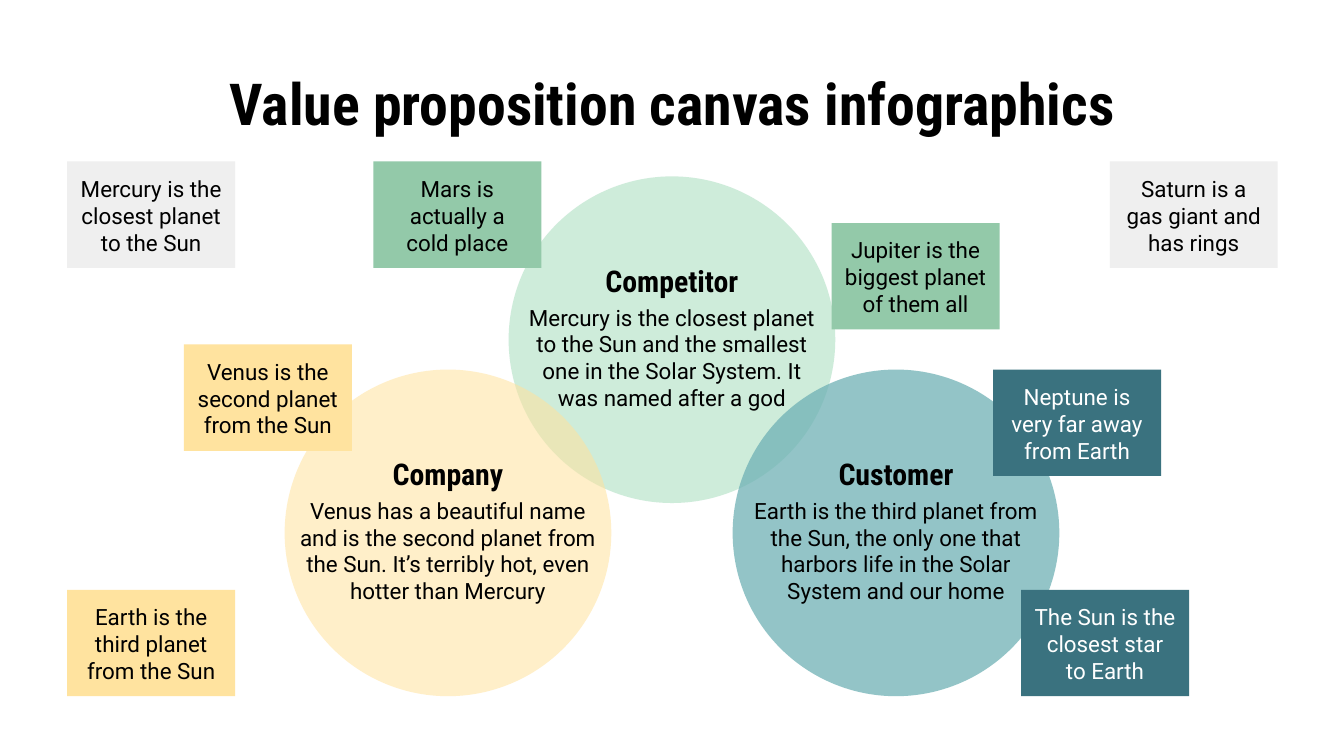
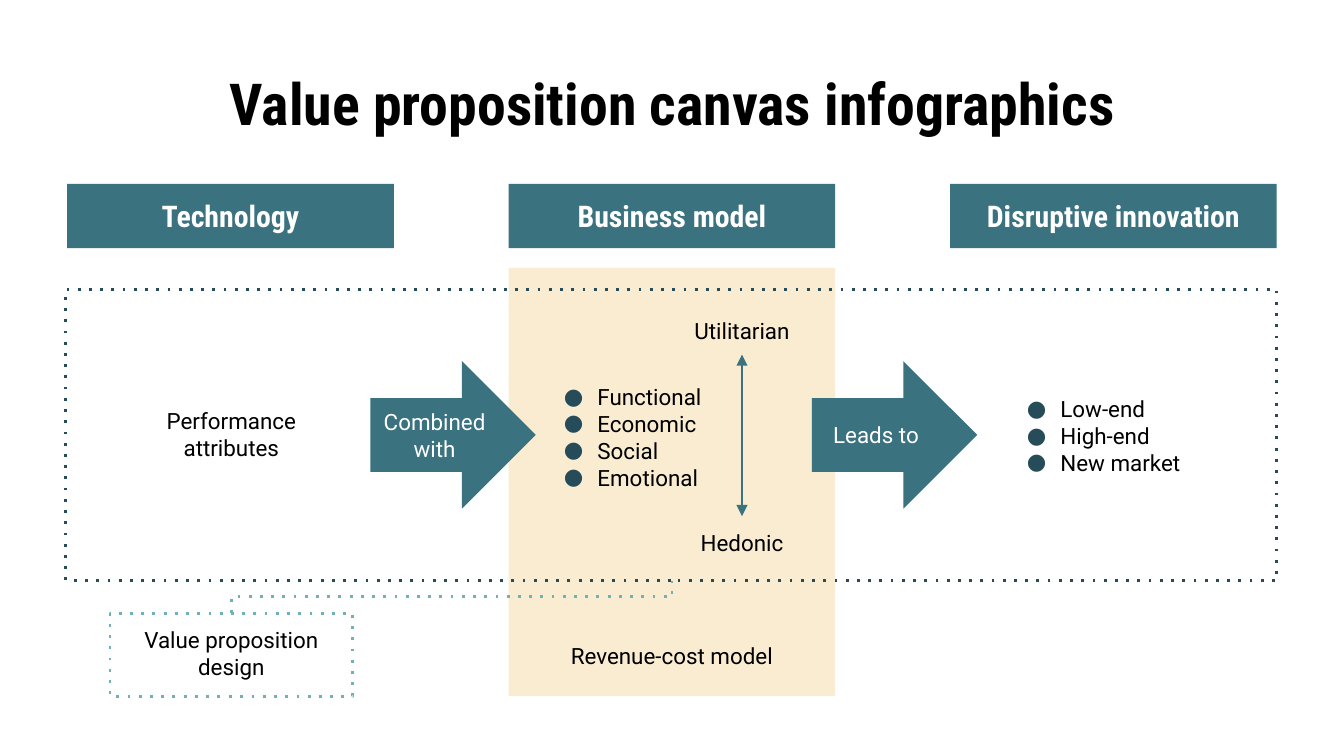
from lxml import etree
from pptx import Presentation
from pptx.dml.color import RGBColor
from pptx.enum.shapes import MSO_CONNECTOR, MSO_SHAPE
from pptx.enum.text import MSO_ANCHOR, MSO_AUTO_SIZE, PP_ALIGN
from pptx.oxml.ns import qn
from pptx.util import Pt

# Colours
BLACK = RGBColor(0x00, 0x00, 0x00)
WHITE = RGBColor(0xFF, 0xFF, 0xFF)
TEAL = RGBColor(0x3A, 0x72, 0x7F)
NAVY = RGBColor(0x26, 0x4B, 0x59)
AQUA = RGBColor(0x6F, 0xB1, 0xB5)
MINT = RGBColor(0xBD, 0xE5, 0xCD)
GREEN = RGBColor(0x93, 0xC9, 0xA9)
YELLOW = RGBColor(0xFF, 0xE3, 0x9F)
CREAM = RGBColor(0xF9, 0xEC, 0xD1)
GREY = RGBColor(0xEF, 0xEF, 0xEF)

# Enum members
OVAL = MSO_SHAPE.OVAL
RECTANGLE = MSO_SHAPE.RECTANGLE
RIGHT_ARROW = MSO_SHAPE.RIGHT_ARROW
STRAIGHT = MSO_CONNECTOR.STRAIGHT
ELBOW = MSO_CONNECTOR.ELBOW
LEFT = PP_ALIGN.LEFT
CENTER = PP_ALIGN.CENTER
TOP = MSO_ANCHOR.TOP
MIDDLE = MSO_ANCHOR.MIDDLE
NO_RESIZE = MSO_AUTO_SIZE.NONE

# Shared style, lengths in points
BODY_FONT, BODY_SIZE = "Roboto", 12
HEAD_FONT, HEAD_SIZE, TITLE_SIZE = "Roboto Condensed", 16, 31
TITLE = "Value proposition canvas infographics"
INSET = 7.2
LINE_WIDTH = 1.5
MARGIN = 36
MIDDLE_X = 360
COLUMN_WIDTH = 175
HEAD_HEIGHT = 34.5
TITLE_ONLY = 5


def add_element(parent, tag, **attributes):
    return etree.SubElement(parent, qn(tag), **attributes)


class Canvas:
    """Holds the deck, its style and the slide being filled."""

    def __init__(self):
        self.deck = Presentation()
        self.deck.slide_width = Pt(720)
        self.deck.slide_height = Pt(405)
        self.shapes = None

    def new_slide(self, title):
        layout = self.deck.slide_layouts[TITLE_ONLY]
        self.slide = self.deck.slides.add_slide(layout)
        self.shapes = self.slide.shapes
        box = self.shapes.title
        box.left, box.top = Pt(MARGIN), Pt(32.5)
        box.width, box.height = Pt(648), Pt(45)
        self.fill_text(box, [title], size=TITLE_SIZE, heading=True, anchor=MIDDLE)

    def start_group(self):
        self.shapes = self.slide.shapes.add_group_shape().shapes

    def end_group(self):
        self.shapes = self.slide.shapes

    def fill_text(self, box, lines, size=BODY_SIZE, color=BLACK, heading=False,
                  anchor=TOP, bullets=False):
        frame = box.text_frame
        frame.word_wrap = True
        frame.auto_size = NO_RESIZE
        frame.vertical_anchor = anchor
        frame.margin_left = frame.margin_right = Pt(INSET)
        frame.margin_top = frame.margin_bottom = Pt(INSET)
        for index, line in enumerate(lines):
            para = frame.add_paragraph() if index else frame.paragraphs[0]
            para.alignment = LEFT if bullets else CENTER
            if bullets:
                self.add_bullet(para)
            span = para.add_run()
            span.text = line
            span.font.name = HEAD_FONT if heading else BODY_FONT
            span.font.size = Pt(size)
            span.font.bold = heading
            span.font.color.rgb = color

    def add_bullet(self, para):
        properties = para._p.get_or_add_pPr()
        properties.set("marL", str(Pt(18)))
        properties.set("indent", str(Pt(-24)))
        color = add_element(properties, "a:buClr")
        add_element(color, "a:srgbClr", val=str(NAVY))
        add_element(properties, "a:buFont", typeface=BODY_FONT)
        add_element(properties, "a:buChar", char="●")

    def text(self, left, top, width, height, *lines, **style):
        box = self.shapes.add_textbox(Pt(left), Pt(top), Pt(width), Pt(height))
        self.fill_text(box, lines, **style)

    def shape(self, kind, left, top, width, height, fill=None, opacity=100,
              dots=None, text=None, **style):
        box = self.shapes.add_shape(kind, Pt(left), Pt(top), Pt(width), Pt(height))
        box.shadow.inherit = False
        if fill is None:
            box.fill.background()
        else:
            box.fill.solid()
            box.fill.fore_color.rgb = fill
        if opacity < 100:
            color = box._element.spPr.find(".//" + qn("a:srgbClr"))
            add_element(color, "a:alpha", val=str(opacity * 1000))
        if dots is None:
            box.line.fill.background()
        else:
            self.style_line(box.line, dots, dotted=True)
        if text:
            self.fill_text(box, [text], **style)

    def style_line(self, line, color, dotted=False):
        line.color.rgb = color
        line.width = Pt(LINE_WIDTH)
        if dotted:
            add_element(line._get_or_add_ln(), "a:prstDash", val="dot")

    def connector(self, kind, start_x, start_y, end_x, end_y):
        link = self.shapes.add_connector(
            kind, Pt(start_x), Pt(start_y), Pt(end_x), Pt(end_y))
        add_element(link._element.spPr, "a:effectLst")
        return link

    def double_arrow(self, x, top, bottom):
        link = self.connector(STRAIGHT, x, top, x, bottom)
        self.style_line(link.line, TEAL)
        for end in ("a:headEnd", "a:tailEnd"):
            add_element(link.line._get_or_add_ln(), end, type="triangle")

    def rising_elbow(self, start_x, start_y, end_x, end_y, color):
        """Elbow that leaves upwards: a tall one, turned a quarter to the left."""
        center_x, center_y = (start_x + end_x) / 2, (start_y + end_y) / 2
        half_rise, half_run = (start_y - end_y) / 2, (end_x - start_x) / 2
        link = self.connector(ELBOW, center_x - half_rise, center_y - half_run,
                              center_x + half_rise, center_y + half_run)
        link._element.spPr.find(qn("a:xfrm")).set("rot", str(270 * 60000))
        self.style_line(link.line, color, dotted=True)

    def topic_circle(self, center_x, top, fill, opacity, heading, body):
        left = center_x - COLUMN_WIDTH / 2
        self.start_group()
        self.shape(OVAL, left, top, COLUMN_WIDTH, COLUMN_WIDTH, fill, opacity)
        self.text(left, top + 61, COLUMN_WIDTH, 75, body)
        self.text(left, top + 39, COLUMN_WIDTH, HEAD_HEIGHT, heading,
                  size=HEAD_SIZE, heading=True)
        self.end_group()

    def note(self, left, top, fill, text):
        color = WHITE if fill == TEAL else BLACK
        self.shape(RECTANGLE, left, top, 90, 57, fill, text=text, color=color)


def build_circles(canvas):
    canvas.new_slide(TITLE)

    # Overlapping circles
    canvas.topic_circle(MIDDLE_X, 94.5, MINT, 73, "Competitor",
                        "Mercury is the closest planet to the Sun and the smallest "
                        "one in the Solar System. It was named after a god")
    canvas.topic_circle(MIDDLE_X - 120, 198, YELLOW, 56, "Company",
                        "Venus has a beautiful name and is the second planet from "
                        "the Sun. It’s terribly hot, even hotter than Mercury")
    canvas.topic_circle(MIDDLE_X + 120, 198, AQUA, 75, "Customer",
                        "Earth is the third planet from the Sun, the only one that "
                        "harbors life in the Solar System and our home")

    # Notes around them
    top_row, bottom_row = 86.5, 316
    for left, top, fill, text in (
        (98.5, 184.5, YELLOW, "Venus is the second planet from the Sun"),
        (MARGIN, bottom_row, YELLOW, "Earth is the third planet from the Sun"),
        (445.5, 119.5, GREEN, "Jupiter is the biggest planet of them all"),
        (200, top_row, GREEN, "Mars is actually a cold place"),
        (532, 198, TEAL, "Neptune is very far away from Earth"),
        (547, bottom_row, TEAL, "The Sun is the closest star to Earth"),
        (MARGIN, top_row, GREY, "Mercury is the closest planet to the Sun"),
        (594.5, top_row, GREY, "Saturn is a gas giant and has rings"),
    ):
        canvas.note(left, top, fill, text)


def build_flow(canvas):
    canvas.new_slide(TITLE)
    pitch = 236.5

    # Band and dotted frame
    canvas.shape(RECTANGLE, MARGIN + pitch, 143.5, COLUMN_WIDTH, 229.5, CREAM)
    canvas.shape(RECTANGLE, 35.25, 155, 648.75, 156, dots=NAVY)

    # Column headings
    headings = ("Technology", "Business model", "Disruptive innovation")
    for column, heading in enumerate(headings):
        canvas.shape(RECTANGLE, MARGIN + column * pitch, 98.5, COLUMN_WIDTH,
                     HEAD_HEIGHT, TEAL, text=heading, size=HEAD_SIZE,
                     color=WHITE, heading=True)

    # Column contents
    canvas.text(59, 211, 130, 44.5, "Performance attributes")
    canvas.text(295, 198, 102, 73, "Functional", "Economic", "Social",
                "Emotional", bullets=True)
    canvas.text(543, 204.5, 107, 60, "Low-end", "High-end", "New market",
                bullets=True)
    canvas.text(295, 337, 130, 27.5, "Revenue-cost model")

    # Scale from utilitarian to hedonic
    canvas.text(360.5, 162.5, 74, 27.5, "Utilitarian")
    canvas.text(360.5, 276.5, 74, 27.5, "Hedonic")
    canvas.double_arrow(397.5, 190, 276.5)

    # Design box tied to the frame
    canvas.shape(RECTANGLE, 59, 328.5, 130, 44.5, dots=AQUA,
                 text="Value proposition design")
    canvas.rising_elbow(124, 328.5, MIDDLE_X, 311, AQUA)

    # Arrows between columns
    for gap, text in enumerate(("Combined with", "Leads to")):
        canvas.shape(RIGHT_ARROW, 198.5 + gap * pitch, 193.5, 88.5, 79, TEAL,
                     text=text, color=WHITE, anchor=MIDDLE)


def main():
    canvas = Canvas()
    build_circles(canvas)
    build_flow(canvas)
    canvas.deck.save("out.pptx")


if __name__ == "__main__":
    main()
